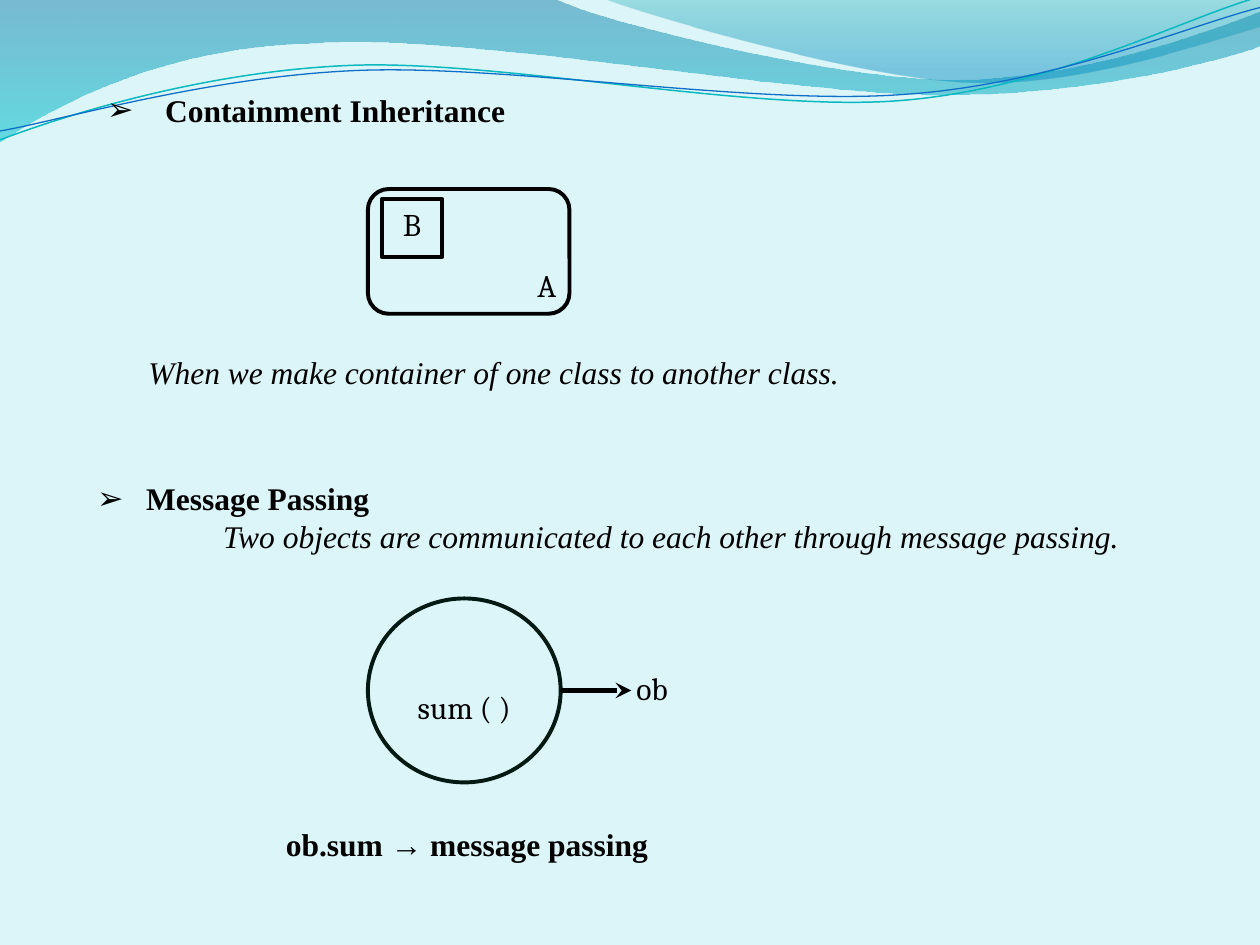
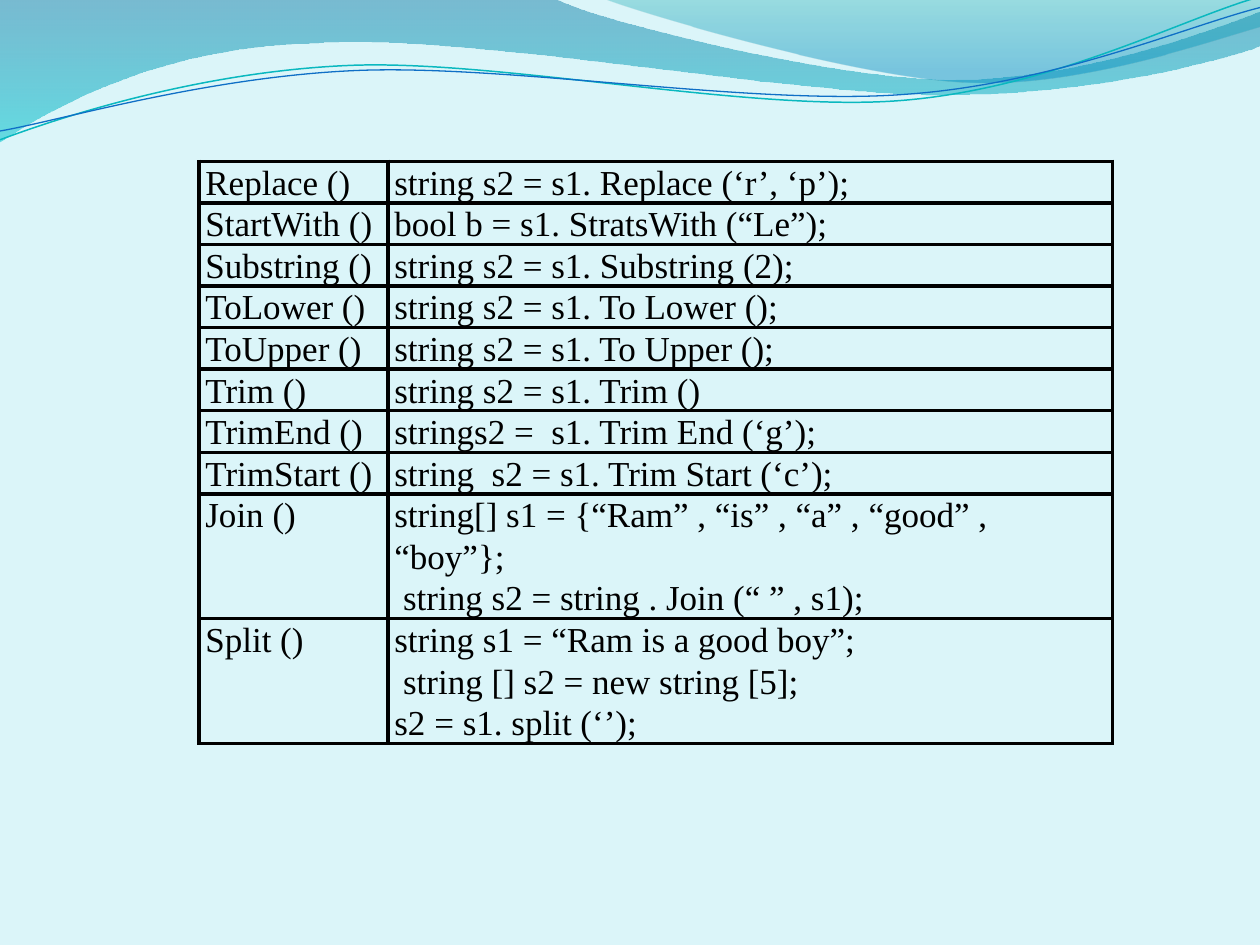
from lxml import etree
from pptx import Presentation
from pptx.dml.color import RGBColor
from pptx.enum.shapes import MSO_CONNECTOR, MSO_SHAPE
from pptx.enum.text import MSO_ANCHOR, MSO_AUTO_SIZE, PP_ALIGN
from pptx.oxml.ns import qn
from pptx.util import Inches, Pt

BLACK = RGBColor(0x00, 0x00, 0x00)
CIRCLE_INK = RGBColor(0x00, 0x18, 0x12)
PALE_AQUA = RGBColor(0xDB, 0xF5, 0xF9)
DEEP_BLUE = RGBColor(0x00, 0x74, 0xA1)
BRIGHT_CYAN = RGBColor(0x00, 0xC6, 0xCF)
TEAL = RGBColor(0x00, 0xA1, 0xA9)
SKY_BLUE = RGBColor(0x00, 0x8B, 0xBF)
TEAL_LINE = RGBColor(0x0A, 0xB8, 0xBF)
BLUE_LINE = RGBColor(0x0F, 0x6F, 0xC6)
SERIF = "Times New Roman"
LABEL_FONT = "Cambria"


def style(paragraph, font=SERIF, size=18, bold=False, italic=False):
    for run in paragraph.runs:
        run.font.name = font
        run.font.size = Pt(size)
        run.font.bold = bold
        run.font.italic = italic
        run.font.color.rgb = BLACK


def indent(paragraph, margin, first_line, bullet=None):
    props = paragraph._p.get_or_add_pPr()
    props.set("marL", str(Inches(margin)))
    props.set("indent", str(Inches(first_line)))
    if bullet:
        etree.SubElement(props, qn("a:buFont")).set("typeface", "Arial")
        etree.SubElement(props, qn("a:buChar")).set("char", bullet)
    else:
        etree.SubElement(props, qn("a:buNone"))


prs = Presentation()
prs.slide_width, prs.slide_height = Inches(10), Inches(7.5)
master = prs.slide_master
master.background.fill.solid()
master.background.fill.fore_color.rgb = PALE_AQUA
concepts = prs.slides.add_slide(prs.slide_layouts[1])
methods = prs.slides.add_slide(prs.slide_layouts[6])

# Master waves: a step of one point is straight, a step of three a Bezier curve.
# Gradient stops are (position, colour, opacity in percent).
waves = [
    ((0, 0),
     [[(4.4, -0.01)], [(4.76, 0.17), (6.64, 0.63), (7.58, 0.63)],
      [(8.53, 0.63), (9.58, 0.26), (10, 0.09)], [(10.01, 0.36)],
      [(9.83, 0.44), (8.7, 0.76), (7.46, 0.75)],
      [(6.22, 0.75), (3.82, 0.28), (2.57, 0.34)],
      [(1.29, 0.36), (0.46, 0.83), (-0.01, 1.13)], [(0, 0)]],
     [(0, DEEP_BLUE, 45), (1, BRIGHT_CYAN, 55)], None),
    ((4.79, -0.01),
     [[(5.09, 0.11), (6.82, 0.62), (7.69, 0.65)],
      [(8.56, 0.69), (9.61, 0.32), (10, 0.21)], [(10, 0)], [(4.79, -0.01)]],
     [(0, TEAL, 30), (0.8, SKY_BLUE, 45)], None),
    ((0, 1.11),
     [[(0.48, 0.93), (1.58, 0.57), (2.77, 0.52)],
      [(3.95, 0.47), (5.93, 0.89), (7.13, 0.8)],
      [(8.33, 0.71), (9.38, 0.15), (9.98, -0.02)]],
     None, (TEAL_LINE, 0.85)),
    ((0, 1.04),
     [[(0.47, 0.96), (1.64, 0.61), (2.83, 0.56)],
      [(4.03, 0.51), (5.97, 0.84), (7.17, 0.75)],
      [(8.36, 0.67), (9.41, 0.21), (10, 0.06)]],
     None, (BLUE_LINE, 0.75)),
]
for order, (start, steps, gradient, stroke) in enumerate(waves):
    builder = concepts.shapes.build_freeform(Inches(start[0]), Inches(start[1]))
    builder.add_line_segments(
        [(Inches(x), Inches(y)) for step in steps for x, y in step],
        close=gradient is not None)
    wave = builder.convert_to_shape()
    # Join each run of three segments into one curve
    segments = wave.element.spPr.iter(qn("a:lnTo"))
    segments = iter(list(segments))
    for step in steps:
        curve, *controls = [next(segments) for _ in step]
        if controls:
            curve.tag = qn("a:cubicBezTo")
        for control in controls:
            curve.append(control[0])
            control.getparent().remove(control)
    wave.shadow.inherit = False
    if gradient:
        wave.line.fill.background()
        wave.fill.gradient()
        wave.fill.gradient_angle = 270
        for stop, (position, colour, _) in zip(wave.fill.gradient_stops, gradient):
            stop.position = position
            stop.color.rgb = colour
        tints = wave.element.spPr.iter(qn("a:srgbClr"))
        for tint, (_, _, opacity) in zip(tints, gradient):
            etree.SubElement(tint, qn("a:alpha")).set("val", str(opacity * 1000))
    else:
        wave.fill.background()
        wave.line.color.rgb, wave.line.width = stroke[0], Pt(stroke[1])
    # Move the wave to the master, behind its placeholders
    wave.element.nvSpPr.cNvPr.set("id", str(100 + order))
    master.shapes.element.insert(2 + order, wave.element)

# Slide 1: headings in the title and body placeholders
heading, passing = concepts.shapes.title, concepts.placeholders[1]
heading.text_frame.text = "Containment Inheritance"
passing.text_frame.text = ("Message Passing\nTwo objects are communicated "
                           "to each other through message passing.")
for holder, box in [(heading, (0.75, 0.67, 3.38, 0.4)), (passing, (0.67, 3.75, 8.37, 0.71))]:
    holder.left, holder.top, holder.width, holder.height = map(Inches, box)
    holder.text_frame.auto_size = MSO_AUTO_SIZE.NONE
    holder.text_frame.word_wrap = False
    holder.text_frame.vertical_anchor = MSO_ANCHOR.MIDDLE
    for paragraph in holder.text_frame.paragraphs:
        paragraph.alignment = PP_ALIGN.LEFT
        paragraph.space_before = Pt(0)
passing_name, passing_meaning = passing.text_frame.paragraphs
for paragraph, margin in [(heading.text_frame.paragraphs[0], 0.46), (passing_name, 0.39)]:
    indent(paragraph, margin, -margin, "➢")
    style(paragraph, bold=True)
indent(passing_meaning, 1, 0)
style(passing_meaning, italic=True)

# Slide 1: explanation and example line
for text, box, first_line, bold in [
        ("When we make container of one class to another class.",
         (1.08, 2.75, 5.73, 0.4), 0, False),
        ("ob.sum → message passing", (1.67, 6.5, 3.67, 0.4), 0.5, True)]:
    remark = concepts.shapes.add_textbox(*map(Inches, box)).text_frame
    remark.text = text
    remark.word_wrap = bold
    remark.vertical_anchor = MSO_ANCHOR.MIDDLE
    indent(remark.paragraphs[0], 0, first_line)
    style(remark.paragraphs[0], bold=bold, italic=not bold)

# Slide 1: container A holding B, and the object circle
for kind, box, text, ink, spacing in [
        (MSO_SHAPE.ROUNDED_RECTANGLE, (2.92, 1.5, 1.6, 0.99), "", BLACK, 1),
        (MSO_SHAPE.ROUNDED_RECTANGLE, (4.1, 2.04, 0.48, 0.46), "A", None, 1),
        (MSO_SHAPE.RECTANGLE, (3.03, 1.58, 0.48, 0.46), "B", BLACK, 1),
        (MSO_SHAPE.RECTANGLE, (4.92, 5.26, 0.51, 0.34), "ob", None, 1),
        (MSO_SHAPE.OVAL, (2.92, 4.75, 1.53, 1.46), "sum ( )", CIRCLE_INK, 2.5)]:
    part = concepts.shapes.add_shape(kind, *map(Inches, box))
    part.shadow.inherit = False
    part.fill.background()
    if ink is None:
        part.line.fill.background()
    else:
        part.line.color.rgb, part.line.width = ink, Pt(2.25)
    if text:
        part.text_frame.text = text
        part.text_frame.vertical_anchor = MSO_ANCHOR.TOP
        label = part.text_frame.paragraphs[0]
        label.alignment = PP_ALIGN.CENTER
        label.line_spacing = spacing
        style(label, LABEL_FONT)

# Slide 1: arrow from the circle to ob
message = concepts.shapes.add_connector(
    MSO_CONNECTOR.STRAIGHT, Inches(4.45), Inches(5.48), Inches(5.01), Inches(5.48))
message.line.color.rgb, message.line.width = BLACK, Pt(3)
outline = message.element.spPr.find(qn("a:ln"))
etree.SubElement(outline, qn("a:tailEnd")).set("type", "stealth")
etree.SubElement(message.element.spPr, qn("a:effectLst"))

# Slide 2: table of string methods
examples = [
    ("Replace ()", "string s2 = s1. Replace (‘r’, ‘p’);"),
    ("StartWith ()", "bool b = s1. StratsWith (“Le”);"),
    ("Substring ()", "string s2 = s1. Substring (2);"),
    ("ToLower ()", "string s2 = s1. To Lower ();"),
    ("ToUpper ()", "string s2 = s1. To Upper ();"),
    ("Trim ()", "string s2 = s1. Trim ()"),
    ("TrimEnd ()", "strings2 =  s1. Trim End (‘g’);"),
    ("TrimStart ()", "string  s2 = s1. Trim Start (‘c’);"),
    ("Join ()", "string[] s1 = {“Ram” , “is” , “a” , “good” , “boy”};\n"
                " string s2 = string . Join (“ ” , s1);"),
    ("Split ()", "string s1 = “Ram is a good boy”;\n"
                 " string [] s2 = new string [5];\ns2 = s1. split (‘’);"),
]
table = methods.shapes.add_table(
    len(examples), 2, Inches(1.58), Inches(1.28), Inches(7.25), Inches(4.62)).table
table.first_row = table.horz_banding = False
table.columns[0].width, table.columns[1].width = Inches(1.5), Inches(5.75)
for row, example in zip(table.rows, examples):
    row.height = Inches(0.99 if "\n" in example[1] else 0.33)
    for cell, text in zip(row.cells, example):
        cell.text_frame.text = text
        cell.margin_left = cell.margin_right = Inches(0.05)
        cell.margin_top = cell.margin_bottom = 0
        cell.fill.background()
        for paragraph in cell.text_frame.paragraphs:
            paragraph.line_spacing = 1.07
            style(paragraph, size=20)
        cell_props = cell._tc.get_or_add_tcPr()
        for i, side in enumerate(["a:lnL", "a:lnR", "a:lnT", "a:lnB"]):
            border = etree.Element(qn(side), w=str(Pt(2.25)))
            ink = etree.SubElement(border, qn("a:solidFill"))
            etree.SubElement(ink, qn("a:srgbClr")).set("val", str(BLACK))
            cell_props.insert(i, border)

prs.save("out.pptx")
